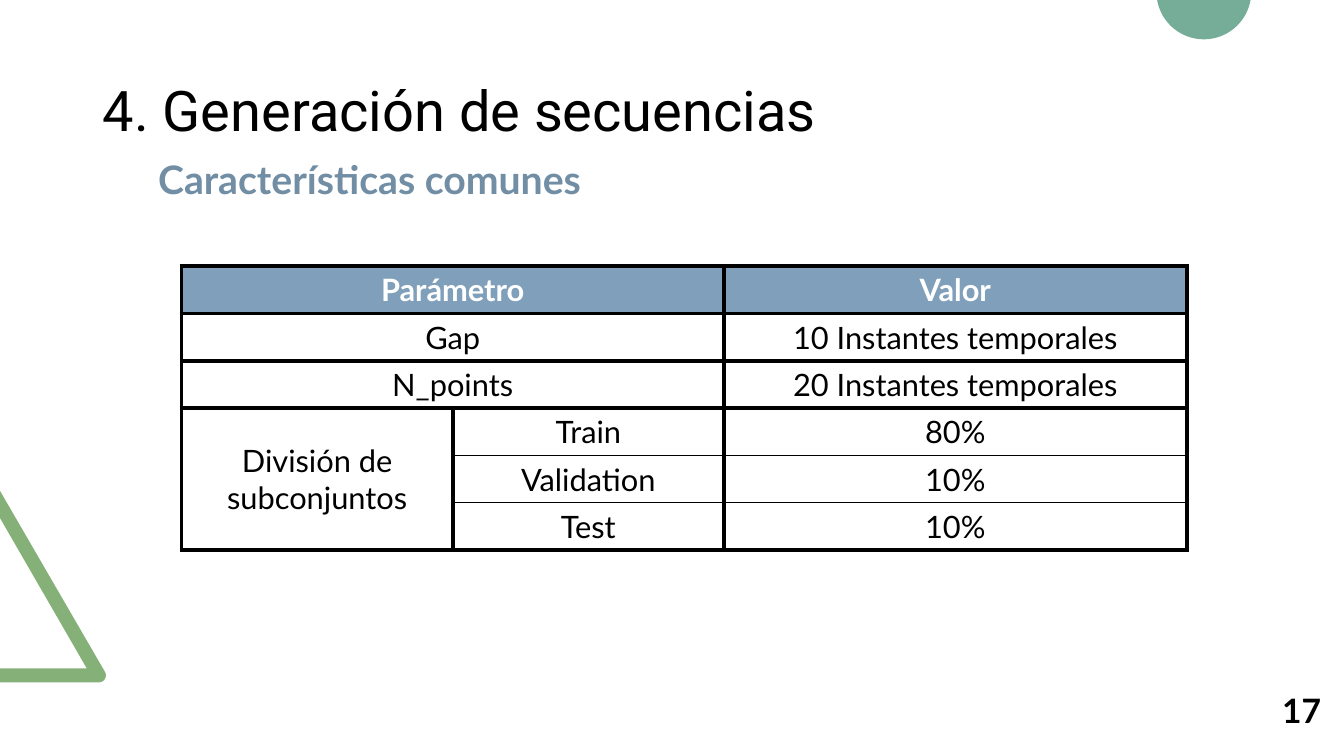
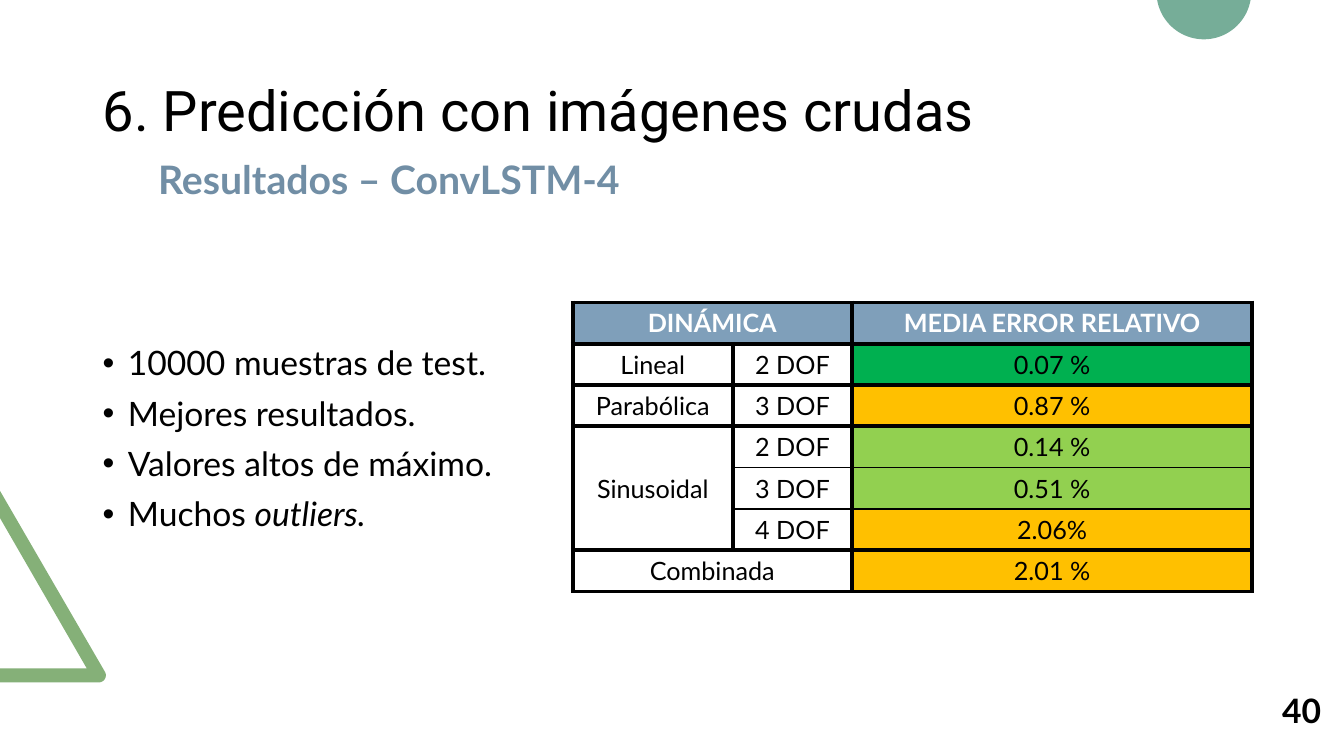
"""Builds two slides on sequence generation and prediction results."""
from math import asin, cos, degrees, radians, sin

from lxml import etree
from pptx import Presentation
from pptx.dml.color import RGBColor
from pptx.enum import text as t
from pptx.oxml import ns
from pptx.util import Inches, Pt

BLACK = RGBColor(0x00, 0x00, 0x00)
WHITE = RGBColor(0xFF, 0xFF, 0xFF)
SLATE = RGBColor(0x71, 0x8E, 0xA5)
HEADER = RGBColor(0x7F, 0x9F, 0xBA)
LEAF = RGBColor(0x85, 0xB0, 0x78)
TEAL = RGBColor(0x76, 0xAD, 0x98)
BEST = RGBColor(0x00, 0xB0, 0x50)
GOOD = RGBColor(0x92, 0xD0, 0x50)
FAIR = RGBColor(0xFF, 0xC0, 0x00)

BODY_FONT = "Lato"
TITLE_FONT = "Roboto"
THICK, THIN = 3, 1

PARAMETERS = [
    ["Parámetro", None, "Valor"],
    ["Gap", None, "10 Instantes temporales"],
    ["N_points", None, "20 Instantes temporales"],
    ["División de subconjuntos", "Train", "80%"],
    [None, "Validation", "10%"],
    [None, "Test", "10%"],
]
ERRORS = [
    ["DINÁMICA", None, "MEDIA ERROR RELATIVO"],
    ["Lineal", "2 DOF", "0.07 %"],
    ["Parabólica", "3 DOF", "0.87 %"],
    ["Sinusoidal", "2 DOF", "0.14 %"],
    [None, "3 DOF", "0.51 %"],
    [None, "4 DOF", "2.06%"],
    ["Combinada", None, "2.01 %"],
]
ERROR_FILLS = [BEST, FAIR, GOOD, GOOD, FAIR, FAIR]
FINDINGS = [
    [("10000 muestras de test.", False)],
    [("Mejores resultados.", False)],
    [("Valores altos de máximo.", False)],
    [("Muchos ", False), ("outliers.", True)],
]


def write(para, text, size, color=BLACK, font=BODY_FONT, bold=False,
          italic=False, align=t.PP_ALIGN.LEFT):
    """Add one formatted span to a paragraph."""
    para.alignment = align
    span = para.add_run()
    span.text = text
    span.font.size = Pt(size)
    span.font.name = font
    span.font.bold = bold
    span.font.italic = italic
    span.font.color.rgb = color


def add_box(slide, left, top, width, height, wrap=True):
    """Add an empty text box and return its text frame."""
    box = slide.shapes.add_textbox(*map(Inches, (left, top, width, height)))
    box.text_frame.word_wrap = wrap
    return box.text_frame


def arc(center_x, center_y, radius, start, end, steps=40):
    """Return points along a circular arc, with angles in degrees."""
    angles = [radians(start + (end - start) * step / steps) for step in range(steps + 1)]
    return [(center_x + radius * cos(a), center_y + radius * sin(a)) for a in angles]


def add_outline(slide, points, color):
    """Add a filled closed outline through points given in inches."""
    first, *rest = [(Inches(x), Inches(y)) for x, y in points]
    builder = slide.shapes.build_freeform(*first)
    builder.add_line_segments(rest, close=True)
    shape = builder.convert_to_shape()
    shape.shadow.inherit = False
    shape.fill.solid()
    shape.fill.fore_color.rgb = color
    shape.line.fill.background()


def add_decoration(slide):
    """Add the cropped triangle and the cropped circle."""
    triangle = [(0, 6.77), (0, 6.63), (0.86, 6.63), (0, 5.14), (0, 4.87)]
    add_outline(slide, triangle + arc(0.98, 6.7, 0.07, -30, 90), LEAF)
    radius, rise = 0.47, 0.08
    edge = degrees(asin(rise / radius))
    add_outline(slide, arc(11.94, -rise, radius, edge, 180 - edge), TEAL)


def add_page(deck, title, subtitle, number):
    """Add a slide with the shared title, subtitle, number and decoration."""
    slide = deck.slides.add_slide(deck.slide_layouts[5])
    add_decoration(slide)
    heading = slide.shapes.title
    heading.left, heading.top = Inches(0.92), Inches(0.4)
    heading.width, heading.height = Inches(11.5), Inches(1.45)
    heading.text_frame.vertical_anchor = t.MSO_ANCHOR.MIDDLE
    para = heading.text_frame.paragraphs[0]
    para.line_spacing = 0.9
    write(para, title, 40, font=TITLE_FONT)
    frame = add_box(slide, 12.59, 6.8, 0.64, 0.5, wrap=False)
    write(frame.paragraphs[0], number, 24, bold=True, align=t.PP_ALIGN.CENTER)
    frame = add_box(slide, 1.47, 1.49, 6.25, 0.57)
    write(frame.paragraphs[0], subtitle, 28, color=SLATE, bold=True)
    return slide


def add_bullets(slide, items, left, top, width, height):
    """Add a bulleted list whose items are lists of text and italic pairs."""
    frame = add_box(slide, left, top, width, height)
    for index, item in enumerate(items):
        para = frame.add_paragraph() if index else frame.paragraphs[0]
        para.line_spacing = 0.9
        para.space_before = Pt(10)
        for text, italic in item:
            write(para, text, 24, italic=italic)
        props = para._p.get_or_add_pPr()
        props.set("marL", str(Inches(0.25)))
        props.set("indent", str(-Inches(0.25)))
        etree.SubElement(props, ns.qn("a:buFont"), typeface="Arial")
        etree.SubElement(props, ns.qn("a:buChar"), char="•")


def set_borders(cell, top, bottom):
    """Draw black borders, with thick sides and the given top and bottom."""
    props = cell._tc.get_or_add_tcPr()
    for side, weight in (("L", THICK), ("R", THICK), ("T", top), ("B", bottom)):
        line = etree.SubElement(props, ns.qn("a:ln" + side), w=str(Pt(weight)))
        fill = etree.SubElement(line, ns.qn("a:solidFill"))
        etree.SubElement(fill, ns.qn("a:srgbClr"), val=str(BLACK))


def add_grid(slide, rows, left, top, widths, row_height, size, value_fills=()):
    """Add a table where None joins a first cell upwards and others leftwards."""
    count = len(rows)
    grid = slide.shapes.add_table(
        count, len(widths), Inches(left), Inches(top),
        Inches(sum(widths)), Inches(row_height * count)).table
    grid.first_row = grid.horz_banding = False
    for column, width in zip(grid.columns, widths):
        column.width = Inches(width)
    inside = [row[0] is None for row in rows] + [False]
    fills = [HEADER, *value_fills]
    for r, row in enumerate(rows):
        for c, text in enumerate(row):
            cell = grid.cell(r, c)
            set_borders(cell, THIN if c and inside[r] else THICK,
                        THIN if c and inside[r + 1] else THICK)
            cell.vertical_anchor = t.MSO_ANCHOR.MIDDLE
            if r == 0 or (c == len(row) - 1 and r < len(fills)):
                cell.fill.solid()
                cell.fill.fore_color.rgb = fills[r]
            else:
                cell.fill.background()
            if text:
                write(cell.text_frame.paragraphs[0], text, size, bold=r == 0,
                      color=BLACK if r else WHITE, align=t.PP_ALIGN.CENTER)
    join_cells(grid, rows)


def join_cells(grid, rows):
    """Merge each run of None with the cell that it continues."""
    for r, row in enumerate(rows):
        if row[1] is None:
            grid.cell(r, 0).merge(grid.cell(r, 1))
        if row[0] is not None:
            last = r
            while last + 1 < len(rows) and rows[last + 1][0] is None:
                last += 1
            if last > r:
                grid.cell(r, 0).merge(grid.cell(last, 0))


def main():
    """Build and save the deck."""
    deck = Presentation()
    deck.slide_width, deck.slide_height = Inches(13.33), Inches(7.5)
    page = add_page(deck, "4. Generación de secuencias", "Características comunes", "17")
    add_grid(page, PARAMETERS, 1.8, 2.64, [2.69, 2.69, 4.59], 0.47, 22)
    page = add_page(deck, "6. Predicción con imágenes crudas", "Resultados – ConvLSTM-4", "40")
    add_bullets(page, FINDINGS, 0.92, 3.39, 4.38, 2.05)
    add_grid(page, ERRORS, 5.68, 3, [1.59, 1.18, 3.97], 0.41, 18, ERROR_FILLS)
    deck.save("out.pptx")


if __name__ == "__main__":
    main()
